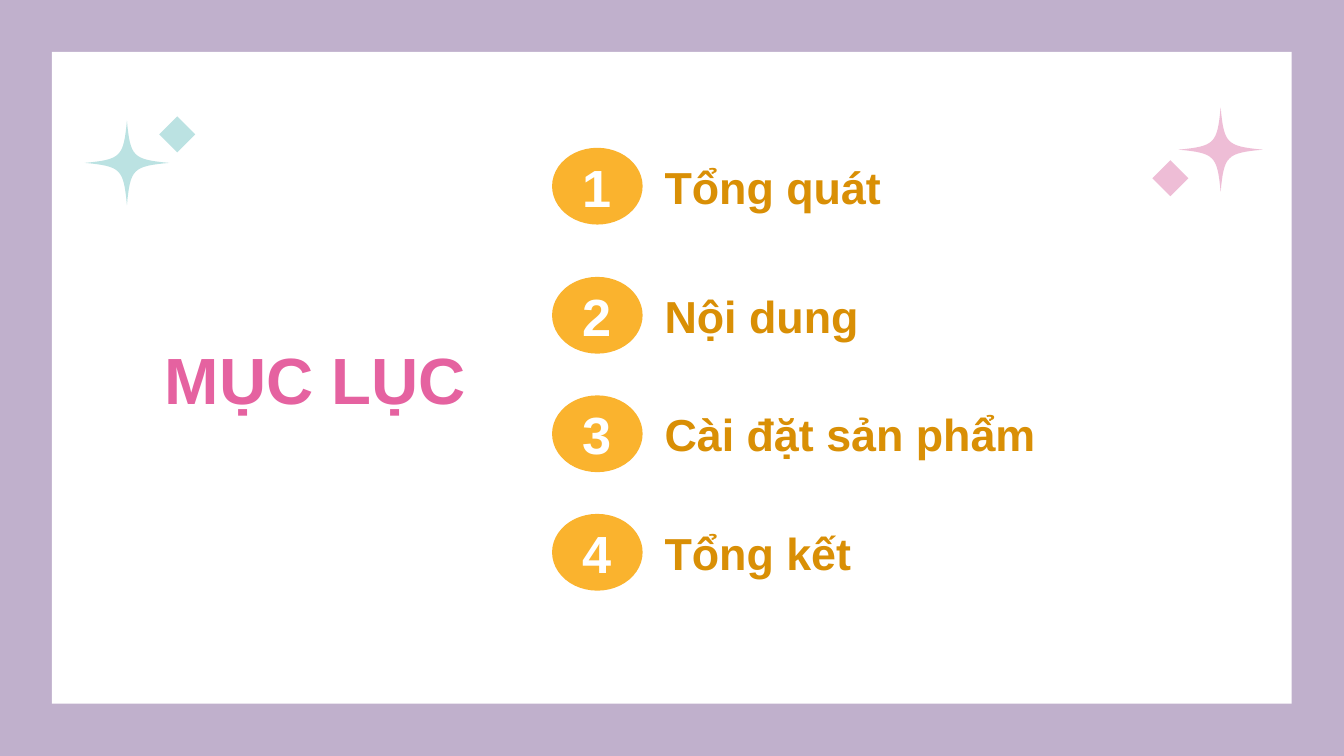
from pptx import Presentation
from pptx.dml.color import RGBColor
from pptx.enum.shapes import MSO_SHAPE
from pptx.enum.text import MSO_ANCHOR, PP_ALIGN
from pptx.util import Cm, Pt

RECT, OVAL, DIAMOND = MSO_SHAPE.RECTANGLE, MSO_SHAPE.OVAL, MSO_SHAPE.DIAMOND
LEFT, CENTER = PP_ALIGN.LEFT, PP_ALIGN.CENTER
MIDDLE = MSO_ANCHOR.MIDDLE

LILAC, WHITE, TEAL, ROSE = "C0B0CC", "FFFFFF", "BBE2E2", "EEBDD6"
PINK, GOLD, AMBER = "E562A0", "FAB32E", "D98F05"


def color(code):
    return RGBColor.from_string(code)


class Deck:
    font = "Arial"
    inset = Cm(0.25)

    def __init__(self, wide, high):
        self.show = Presentation()
        self.show.slide_width, self.show.slide_height = Cm(wide), Cm(high)
        self.slide = self.show.slides.add_slide(self.show.slide_layouts[6])

    def back(self, code):
        fill = self.slide.background.fill
        fill.solid()
        fill.fore_color.rgb = color(code)

    def paint(self, item, code, width=0):
        item.shadow.inherit = False
        item.fill.solid()
        item.fill.fore_color.rgb = color(code)
        if width:
            item.line.color.rgb = color(code)
            item.line.width = Pt(width)
        else:
            item.line.fill.background()

    def shape(self, kind, x, y, w, h, code, width=0):
        item = self.slide.shapes.add_shape(kind, Cm(x), Cm(y), Cm(w), Cm(h))
        self.paint(item, code, width)

    def text(self, words, x, y, w, h, size, code, align=CENTER):
        box = self.slide.shapes.add_textbox(Cm(x), Cm(y), Cm(w), Cm(h))
        frame = box.text_frame
        frame.word_wrap = True
        frame.vertical_anchor = MIDDLE
        frame.margin_left = frame.margin_right = self.inset
        frame.margin_top = frame.margin_bottom = self.inset
        frame.text = words
        line = frame.paragraphs[0]
        line.alignment = align
        font = line.runs[0].font
        font.name, font.size, font.bold = self.font, Pt(size), True
        font.color.rgb = color(code)

    def star(self, x, y, radius, code, steps=16):
        # One Bezier arm from the top tip to the left tip, turned four times
        arm = []
        for step in range(steps):
            t = step / steps
            u = 1 - t
            near, far = 3 * u * u * t, 3 * u * t * t
            arm.append((-0.08 * near - 0.14 * far - t ** 3,
                        -u ** 3 - 0.14 * near - 0.08 * far))
        dots = []
        for _ in range(4):
            dots += arm
            arm = [(b, -a) for a, b in arm]
        dots = [(Cm(x + radius * a), Cm(y + radius * b)) for a, b in dots]
        path = self.slide.shapes.build_freeform(*dots[0])
        path.add_line_segments(dots[1:], close=True)
        self.paint(path.convert_to_shape(), code)

    def spark(self, x, y, side, code):
        size = 0.68
        self.star(x, y, 0.8, code)
        self.shape(DIAMOND, x + side * 0.95 - size / 2,
                   y - side * 0.54 - size / 2, size, size, code)

    def entry(self, number, words, y):
        self.shape(OVAL, 10.47, y, 1.64, 1.38, GOLD, 2)
        self.text(str(number), 10.67, y + 0.19, 1.24, 1, 28, WHITE)
        self.text(words, 12.31, y + 0.19, 9.22, 1, 24, AMBER, LEFT)


def main():
    deck = Deck(25.4, 14.29)

    # Frame and sparkles
    deck.back(LILAC)
    deck.shape(RECT, 0.98, 0.98, 23.43, 12.32, WHITE)
    deck.spark(2.4, 3.08, 1, TEAL)
    deck.spark(23.07, 2.83, -1, ROSE)

    # Title
    deck.text("MỤC LỤC", 2.74, 6.07, 6.45, 2.16, 35, PINK)

    # Contents list
    topics = ["Tổng quát", "Nội dung", "Cài đặt sản phẩm", "Tổng kết"]
    tops = [2.83, 5.27, 7.51, 9.75]
    for number, (words, top) in enumerate(zip(topics, tops), 1):
        deck.entry(number, words, top)

    deck.show.save("out.pptx")


if __name__ == "__main__":
    main()
